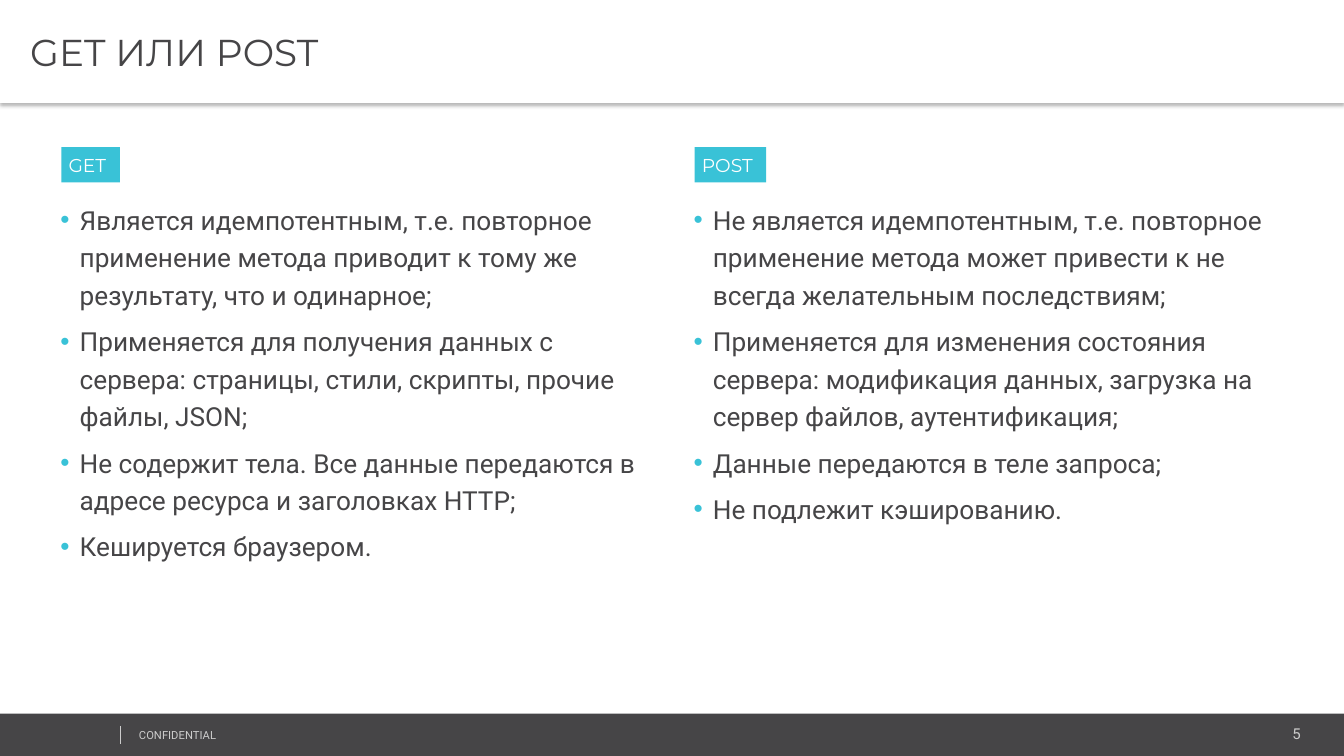
from dataclasses import dataclass

from lxml import etree
from pptx import Presentation
from pptx.dml.color import RGBColor
from pptx.enum.shapes import MSO_CONNECTOR, MSO_SHAPE
from pptx.enum.text import MSO_ANCHOR, MSO_AUTO_SIZE, PP_ALIGN
from pptx.oxml.ns import qn
from pptx.util import Inches, Pt

LEFT, RIGHT = PP_ALIGN.LEFT, PP_ALIGN.RIGHT
TOP, MIDDLE = MSO_ANCHOR.TOP, MSO_ANCHOR.MIDDLE
NO_FIT = MSO_AUTO_SIZE.NONE
RECT, STRAIGHT = MSO_SHAPE.RECTANGLE, MSO_CONNECTOR.STRAIGHT


@dataclass(frozen=True)
class Theme:
    dark: RGBColor = RGBColor.from_string("464547")
    accent: RGBColor = RGBColor.from_string("39C2D7")
    muted: RGBColor = RGBColor.from_string("CCCCCC")
    white: RGBColor = RGBColor.from_string("FFFFFF")
    heading: str = "Montserrat"
    body: str = "Roboto"
    title_size: float = 26.7
    label_size: float = 13.3
    body_size: float = 18.7
    number_size: float = 10.7
    footer_size: float = 8


theme = Theme()

columns = [
    (0.53, "GET", 0.58, [
        "Является идемпотентным, т.е. повторное применение метода приводит к тому же результату, что и одинарное;",
        "Применяется для получения данных с сервера: страницы, стили, скрипты, прочие файлы, JSON;",
        "Не содержит тела. Все данные передаются в адресе ресурса и заголовках HTTP;",
        "Кешируется браузером.",
    ]),
    (6.81, "POST", 0.71, [
        "Не является идемпотентным, т.е. повторное применение метода может привести к не всегда желательным последствиям;",
        "Применяется для изменения состояния сервера: модификация данных, загрузка на сервер файлов, аутентификация;",
        "Данные передаются в теле запроса;",
        "Не подлежит кэшированию.",
    ]),
]


def place(sp, left, top, width, height):
    sp.left, sp.top = Inches(left), Inches(top)
    sp.width, sp.height = Inches(width), Inches(height)


def write(sp, lines, font, size, color, align=LEFT, anchor=TOP, insets=(0.07, 0.04)):
    """Fill a shape with one paragraph per line; insets are left/right and top/bottom."""
    tf = sp.text_frame
    tf.word_wrap, tf.auto_size, tf.vertical_anchor = True, NO_FIT, anchor
    tf.margin_left = tf.margin_right = Inches(insets[0])
    tf.margin_top = tf.margin_bottom = Inches(insets[1])
    tf.text = "\n".join(lines)
    for p in tf.paragraphs:
        p.alignment, p.space_before = align, Pt(0)
        p.font.name, p.font.size, p.font.bold = font, Pt(size), False
        p.font.color.rgb = color


prs = Presentation()
prs.slide_width, prs.slide_height = Inches(13.33), Inches(7.5)
s = prs.slides.add_slide(prs.slide_layouts.get_by_name("Comparison"))

# Title bar with a soft shadow below
title = s.shapes.title
place(title, 0, 0, 13.33, 1.02)
title.fill.solid()
title.fill.fore_color.rgb = theme.white
write(title, ["GET ИЛИ POST"], theme.heading, theme.title_size, theme.dark, anchor=MIDDLE)
title.text_frame.margin_left = Inches(0.3)
title.shadow.inherit = False
effects = title._element.spPr.find(qn("a:effectLst"))
shadow = etree.SubElement(effects, qn("a:outerShdw"), blurRad=str(Pt(3.1)),
                          dist=str(Pt(2)), dir="5400000", algn="t", rotWithShape="0")
black = etree.SubElement(shadow, qn("a:srgbClr"), val="000000")
etree.SubElement(black, qn("a:alpha"), val="30000")

# Two columns: a coloured label over a bulleted list
for i, (left, method, label_width, points) in enumerate(columns):
    label, listing = s.placeholders[2 * i + 1], s.placeholders[2 * i + 2]

    place(label, left + 0.08, 1.46, label_width, 0.35)
    label.fill.solid()
    label.fill.fore_color.rgb = theme.accent
    write(label, [method], theme.heading, theme.label_size, theme.white,
          anchor=MIDDLE, insets=(0.07, 0.06))

    place(listing, left, 1.92, 6.11, 4.59)
    write(listing, points, theme.body, theme.body_size, theme.dark)
    for p in listing.text_frame.paragraphs:
        p.line_spacing, p.space_before = 1.2, Pt(6)
        pPr = p._p.get_or_add_pPr()
        pPr.set("marL", str(Inches(0.19)))
        pPr.set("indent", str(-Inches(0.19)))
        bullet_color = etree.Element(qn("a:buClr"))
        etree.SubElement(bullet_color, qn("a:srgbClr"), val=str(theme.accent))
        bullet_font = etree.Element(qn("a:buFont"), typeface="Arial")
        bullet = etree.Element(qn("a:buChar"), char="•")
        defaults = pPr.find(qn("a:defRPr"))
        for node in (bullet_color, bullet_font, bullet):
            defaults.addprevious(node)

# Footer
bar = s.shapes.add_shape(RECT, 0, Inches(7.08), prs.slide_width, Inches(0.42))
bar.shadow.inherit = False
bar.fill.solid()
bar.fill.fore_color.rgb = theme.dark
bar.line.fill.background()

footer_texts = [
    ("5", (10.82, 7.14, 2.18, 0.28), theme.number_size, RIGHT),
    ("CONFIDENTIAL", (1.28, 7.18, 3.38, 0.24), theme.footer_size, LEFT),
]
for text, box, size, align in footer_texts:
    sp = s.shapes.add_textbox(*map(Inches, box))
    write(sp, [text], theme.body, size, theme.muted, align, insets=(0.1, 0.05))

divider = s.shapes.add_connector(STRAIGHT, Inches(1.19), Inches(7.2), Inches(1.19), Inches(7.38))
divider.line.color.rgb = theme.muted
divider.line.width = Pt(0.25)
etree.SubElement(divider._element.spPr, qn("a:effectLst"))

prs.save("out.pptx")
